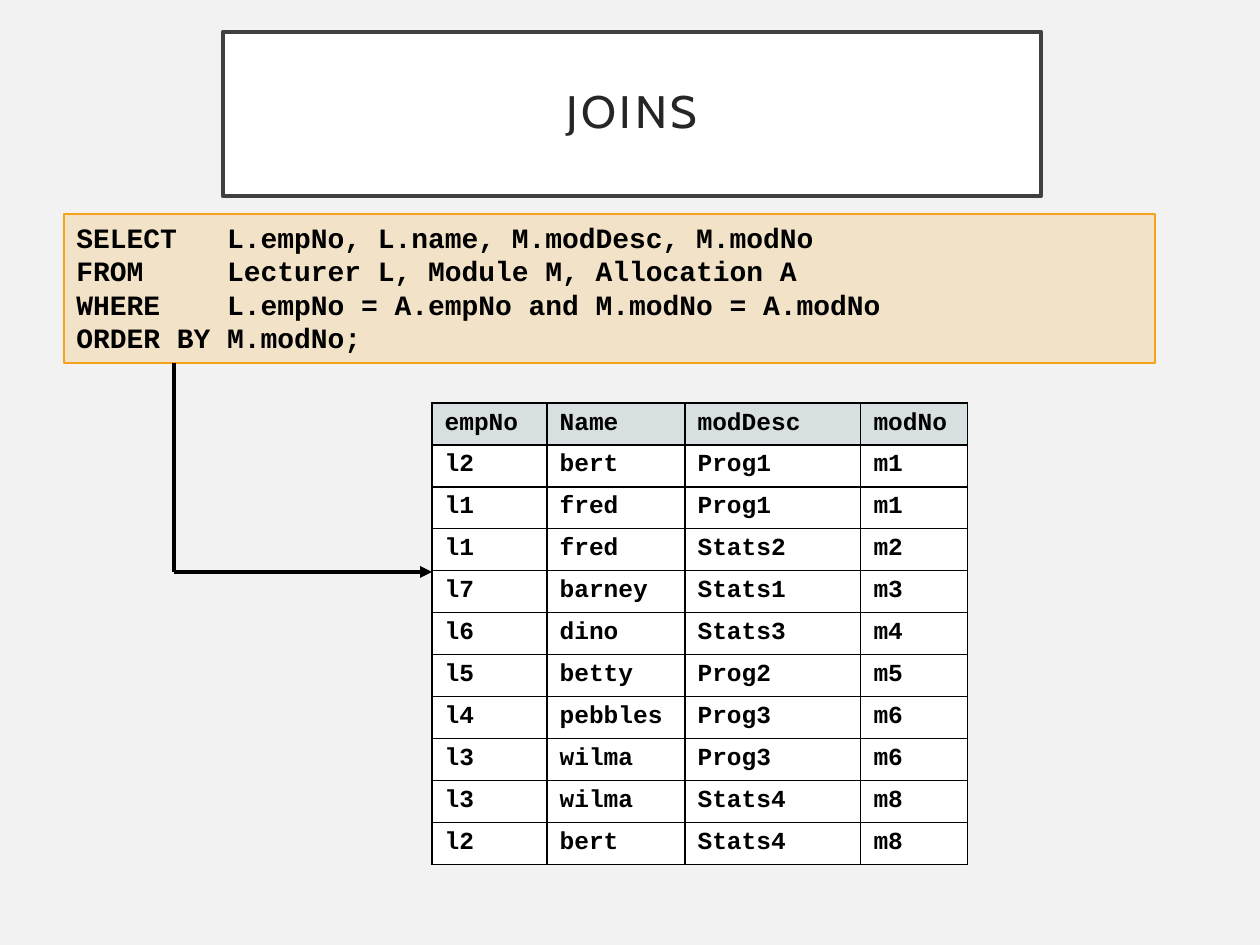
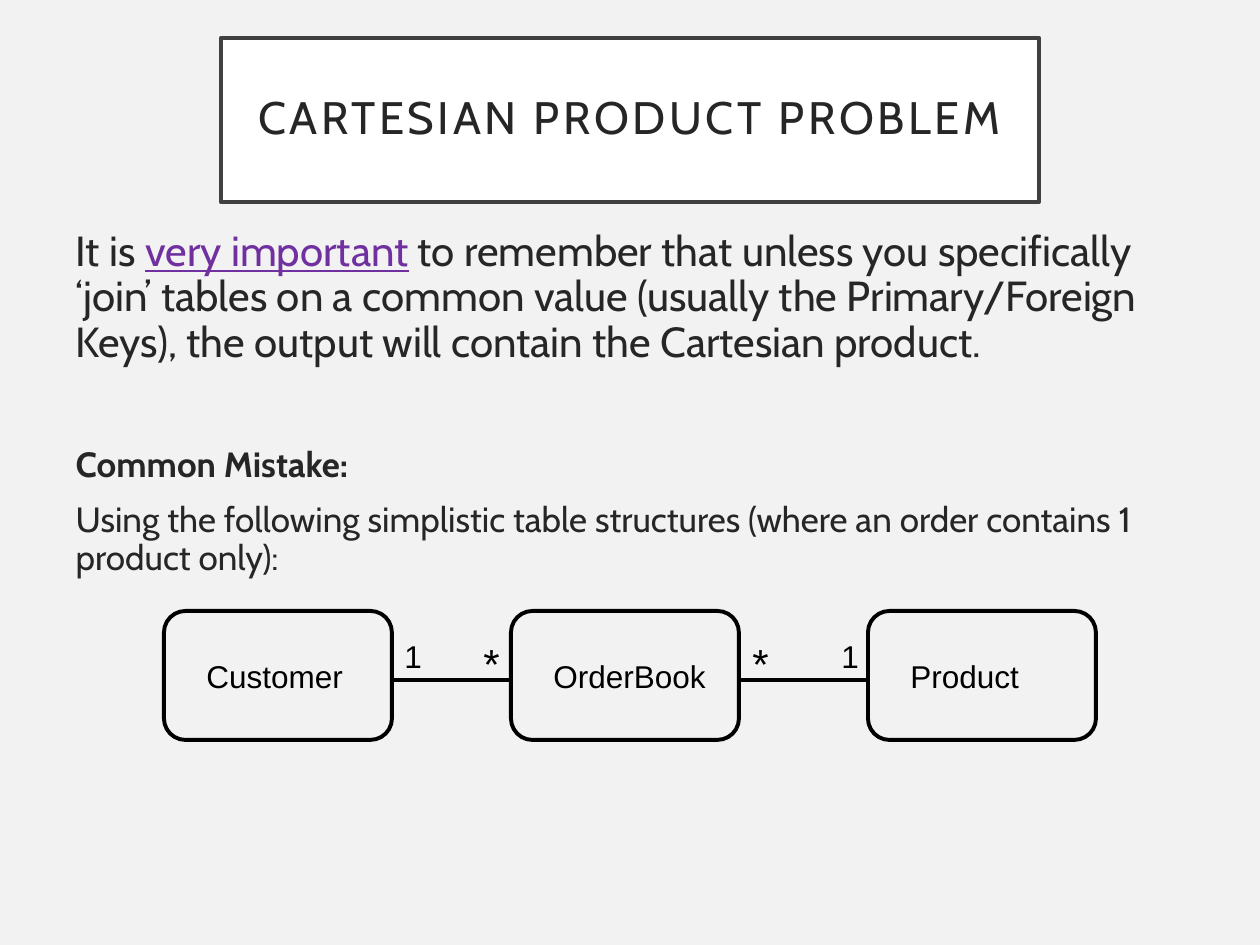
"""Build two slides on SQL joins and the Cartesian product problem."""
from dataclasses import dataclass

from lxml import etree
from pptx import Presentation
from pptx import util as u
from pptx.dml.color import RGBColor
from pptx.enum import shapes, text
from pptx.oxml.ns import qn

PX = u.Inches(1) / 126


@dataclass(frozen=True)
class Theme:
    """Colours, fonts and sizes in points."""
    page: str = "F2F2F2"
    panel: str = "FFFFFF"
    frame: str = "404040"
    body: str = "262626"
    ink: str = "000000"
    accent: str = "F6A21D"
    header: str = "D7DFE1"
    stress: str = "7030A0"
    main_font: str = "Cabin"
    code_font: str = "Courier New"
    label_font: str = "Arial"
    title_size: int = 26
    lead_size: int = 24
    note_size: int = 20
    label_size: int = 18
    star_size: int = 24
    code_size: int = 16
    cell_size: int = 14
    title_line: float = 2.5
    rule: float = 2.25
    hairline: float = 0.75


@dataclass(frozen=True)
class Area:
    """A rectangle in px."""
    left: int
    top: int
    width: int
    height: int

    def emu(self) -> tuple[int, ...]:
        """Return left, top, width and height in EMU."""
        return tuple(emu(v) for v in (self.left, self.top, self.width, self.height))


@dataclass(frozen=True)
class Entity:
    """A table in the relationship diagram."""
    name: str
    left: int


@dataclass(frozen=True)
class Multiplicity:
    """A mark at one end of a relationship."""
    mark: str
    left: int
    height: int
    size: int


THEME = Theme()
ENTITY_TOP, ENTITY_WIDTH, ENTITY_HEIGHT = 611, 228, 129
LINK_Y, MARK_TOP = 680, 631

QUERY = """SELECT   L.empNo, L.name, M.modDesc, M.modNo
FROM     Lecturer L, Module M, Allocation A
WHERE    L.empNo = A.empNo and M.modNo = A.modNo
ORDER BY M.modNo;"""

RESULT = [row.split() for row in """empNo Name modDesc modNo
l2 bert Prog1 m1
l1 fred Prog1 m1
l1 fred Stats2 m2
l7 barney Stats1 m3
l6 dino Stats3 m4
l5 betty Prog2 m5
l4 pebbles Prog3 m6
l3 wilma Prog3 m6
l3 wilma Stats4 m8
l2 bert Stats4 m8""".splitlines()]
COLUMN_WIDTHS = (115, 138, 176, 107)
ROW_HEIGHT = 42

ENTITIES = (Entity("Customer", 164), Entity("OrderBook", 511), Entity("Product", 868))
MULTIPLICITIES = (
    Multiplicity("1", 392, 50, THEME.label_size),
    Multiplicity("*", 471, 63, THEME.star_size),
    Multiplicity("*", 740, 63, THEME.star_size),
    Multiplicity("1", 829, 50, THEME.label_size),
)


def emu(px: int) -> int:
    """Turn px into EMU."""
    return round(px * PX)


def rgb(colour: str) -> RGBColor:
    """Turn a hex string into a colour."""
    return RGBColor.from_string(colour)


def place(shape, area: Area) -> None:
    """Move and size a shape."""
    shape.left, shape.top, shape.width, shape.height = area.emu()


def outline(shape, colour: str, width: float) -> None:
    """Give a shape a solid line."""
    shape.line.color.rgb = rgb(colour)
    shape.line.width = u.Pt(width)


def style_span(span, font: str, size: int, colour: str, bold: bool = False) -> None:
    """Format one run."""
    span.font.name = font
    span.font.size = u.Pt(size)
    span.font.color.rgb = rgb(colour)
    span.font.bold = bold


def style_frame(frame, font: str, size: int, colour: str, bold: bool = False) -> None:
    """Left-align and format every paragraph of a frame."""
    for para in frame.paragraphs:
        para.alignment = text.PP_ALIGN.LEFT
        for span in para.runs:
            style_span(span, font, size, colour, bold)


def add_page(deck, layout: int, heading: str, area: Area):
    """Add a slide with the framed title."""
    page = deck.slides.add_slide(deck.slide_layouts[layout])
    page.background.fill.solid()
    page.background.fill.fore_color.rgb = rgb(THEME.page)
    title = page.shapes.title
    place(title, area)
    title.fill.solid()
    title.fill.fore_color.rgb = rgb(THEME.panel)
    outline(title, THEME.frame, THEME.title_line)
    frame = title.text_frame
    frame.text = heading
    frame.word_wrap = True
    frame.auto_size = text.MSO_AUTO_SIZE.NONE
    frame.vertical_anchor = text.MSO_ANCHOR.MIDDLE
    frame.margin_left = frame.margin_right = emu(25)
    frame.margin_top = frame.margin_bottom = emu(25)
    para = frame.paragraphs[0]
    para.alignment = text.PP_ALIGN.CENTER
    para.line_spacing = 0.9
    span = para.runs[0]
    style_span(span, THEME.main_font, THEME.title_size, THEME.body)
    span.font._element.set("spc", "200")
    return page


def add_rule(page, start: tuple[int, int], end: tuple[int, int], arrow: bool = False) -> None:
    """Draw a straight line, with an arrowhead if asked."""
    rule = page.shapes.add_connector(
        shapes.MSO_CONNECTOR.STRAIGHT, *(emu(v) for v in (*start, *end)))
    outline(rule, THEME.ink, THEME.rule)
    if arrow:
        etree.SubElement(rule.line._get_or_add_ln(), qn("a:tailEnd"), type="triangle")
    etree.SubElement(rule._element.spPr, qn("a:effectLst"))


def add_label(page, words: str, area: Area, size: int) -> None:
    """Add a diagram label."""
    box = page.shapes.add_textbox(*area.emu())
    box.text_frame.text = words
    box.text_frame.word_wrap = True
    style_frame(box.text_frame, THEME.label_font, size, THEME.ink)


def add_query(page, area: Area) -> None:
    """Add the tinted box of SQL code."""
    box = page.shapes.add_shape(shapes.MSO_SHAPE.RECTANGLE, *area.emu())
    box.shadow.inherit = False
    box.fill.solid()
    box.fill.fore_color.rgb = rgb(THEME.accent)
    tint = box._element.spPr.find(".//" + qn("a:srgbClr"))
    etree.SubElement(tint, qn("a:alpha"), val="20000")
    outline(box, THEME.accent, THEME.hairline)
    box.text_frame.text = QUERY
    box.text_frame.word_wrap = True
    box.text_frame.vertical_anchor = text.MSO_ANCHOR.TOP
    style_frame(box.text_frame, THEME.code_font, THEME.code_size, THEME.ink, True)


def add_borders(cell) -> None:
    """Give a cell thin lines on all four sides."""
    properties = cell._tc.get_or_add_tcPr()
    for side in ("lnL", "lnR", "lnT", "lnB"):
        line = etree.SubElement(properties, qn(f"a:{side}"), w=str(u.Pt(THEME.hairline)))
        fill = etree.SubElement(line, qn("a:solidFill"))
        etree.SubElement(fill, qn("a:srgbClr"), val=THEME.ink)


def add_result(page, left: int, top: int) -> None:
    """Add the table of query results."""
    area = Area(left, top, sum(COLUMN_WIDTHS), ROW_HEIGHT * len(RESULT))
    table = page.shapes.add_table(len(RESULT), len(COLUMN_WIDTHS), *area.emu()).table
    table.horz_banding = False
    for column, width in zip(table.columns, COLUMN_WIDTHS):
        column.width = emu(width)
    for number, (row, values) in enumerate(zip(table.rows, RESULT)):
        row.height = emu(ROW_HEIGHT)
        for cell, value in zip(row.cells, values):
            add_borders(cell)
            cell.fill.solid()
            cell.fill.fore_color.rgb = rgb(THEME.panel if number else THEME.header)
            cell.vertical_anchor = text.MSO_ANCHOR.TOP if number else text.MSO_ANCHOR.MIDDLE
            cell.text = value
            style_frame(cell.text_frame, THEME.code_font, THEME.cell_size, THEME.ink, True)


def fill_body(body, area: Area) -> None:
    """Write the warning and the common mistake."""
    place(body, area)
    frame = body.text_frame
    frame.text = ("It is \nCommon Mistake:\nUsing the following simplistic table structures "
                  "(where an order contains 1 product only):")
    frame.word_wrap = True
    frame.auto_size = text.MSO_AUTO_SIZE.NONE
    lead, mistake, _ = frame.paragraphs
    stress = lead.add_run()
    stress.text = "very important"
    lead.add_run().text = (
        " to remember that unless you specifically ‘join’ tables on a common value (usually "
        "the Primary/Foreign Keys), the output will contain the Cartesian product.")
    for para, gap in zip(frame.paragraphs, (0, 46, 10)):
        properties = para._p.get_or_add_pPr()
        properties.set("marL", "0")
        properties.set("indent", "0")
        etree.SubElement(properties, qn("a:buNone"))
        para.line_spacing = 0.9
        para.space_before = u.Pt(gap)
    style_frame(frame, THEME.main_font, THEME.note_size, THEME.body)
    for span in lead.runs:
        span.font.size = u.Pt(THEME.lead_size)
    stress.font.color.rgb = rgb(THEME.stress)
    stress.font.underline = True
    mistake.runs[0].font.bold = True


def add_entity(page, entity: Entity) -> None:
    """Draw a rounded box and its name."""
    area = Area(entity.left, ENTITY_TOP, ENTITY_WIDTH, ENTITY_HEIGHT)
    box = page.shapes.add_shape(shapes.MSO_SHAPE.ROUNDED_RECTANGLE, *area.emu())
    box.shadow.inherit = False
    box.fill.background()
    outline(box, THEME.ink, THEME.rule)
    add_label(page, entity.name, Area(entity.left + 30, 651, 179, 50), THEME.label_size)


def build_joins(deck) -> None:
    """Build the slide with a query and its result."""
    page = add_page(deck, 5, "JOINS", Area(223, 32, 818, 164))
    add_query(page, Area(64, 214, 1091, 149))
    add_rule(page, (174, 572), (432, 572), arrow=True)
    add_rule(page, (174, 363), (174, 572))
    add_result(page, 432, 403)


def build_cartesian(deck) -> None:
    """Build the slide on the Cartesian product."""
    page = add_page(deck, 1, "CARTESIAN PRODUCT PROBLEM", Area(221, 38, 818, 164))
    fill_body(page.placeholders[1], Area(63, 224, 1134, 417))
    for entity in ENTITIES:
        add_entity(page, entity)
    for first, second in zip(ENTITIES, ENTITIES[1:]):
        add_rule(page, (first.left + ENTITY_WIDTH, LINK_Y), (second.left, LINK_Y))
    for end in MULTIPLICITIES:
        add_label(page, end.mark, Area(end.left, MARK_TOP, 69, end.height), end.size)


def main() -> None:
    """Build and save the deck."""
    deck = Presentation()
    deck.slide_width, deck.slide_height = emu(1260), emu(945)
    build_joins(deck)
    build_cartesian(deck)
    deck.save("out.pptx")


if __name__ == "__main__":
    main()
